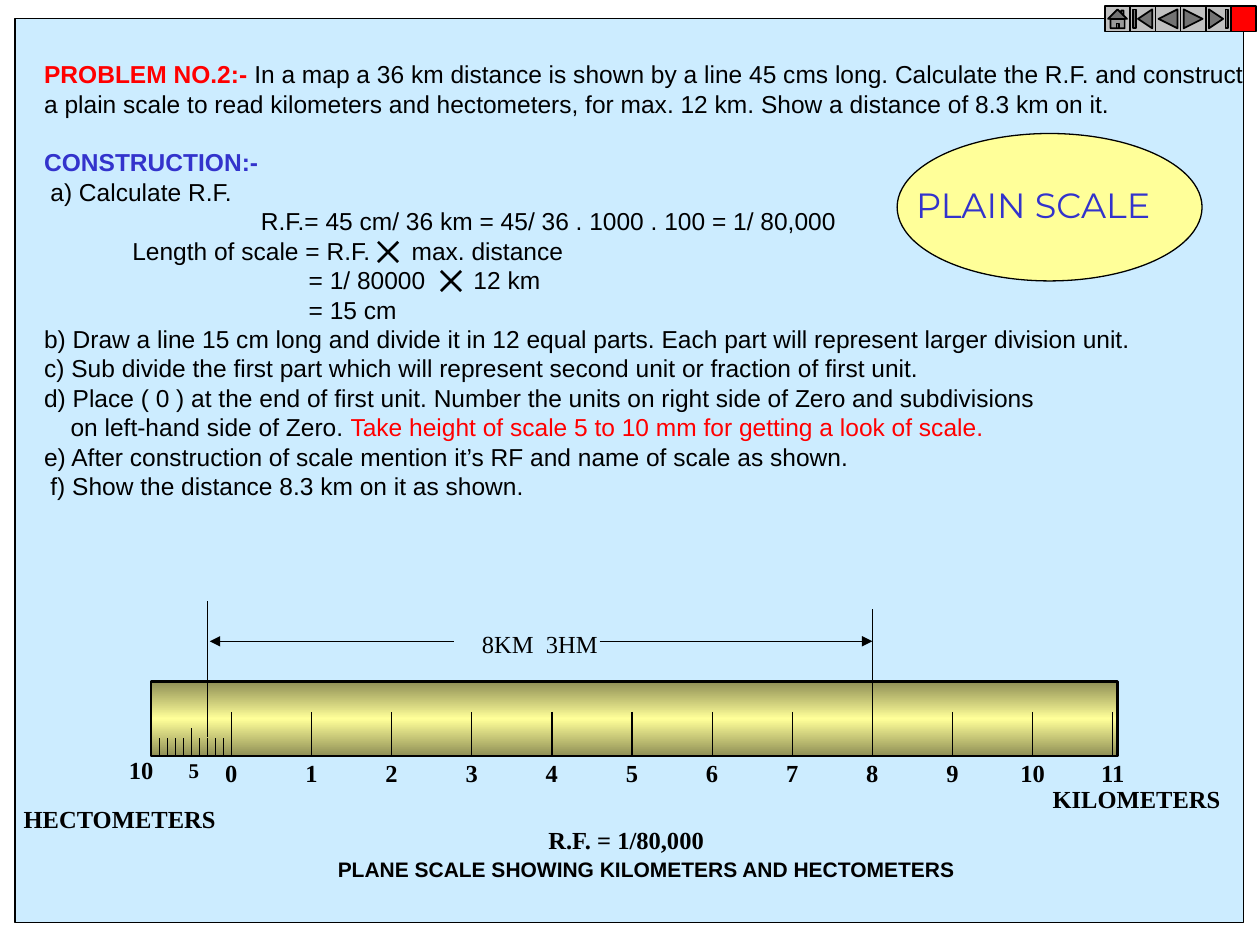
from copy import deepcopy

from pptx import Presentation
from pptx.dml.color import RGBColor
from pptx.enum.shapes import MSO_CONNECTOR, MSO_SHAPE
from pptx.enum.text import MSO_ANCHOR, MSO_AUTO_SIZE, PP_ALIGN
from pptx.oxml.ns import qn
from pptx.util import Inches, Pt

STRAIGHT = MSO_CONNECTOR.STRAIGHT
RECT, OVAL = MSO_SHAPE.RECTANGLE, MSO_SHAPE.OVAL
LEFT, CENTER = PP_ALIGN.LEFT, PP_ALIGN.CENTER
MIDDLE, TOP = MSO_ANCHOR.MIDDLE, MSO_ANCHOR.TOP
NO_FIT = MSO_AUTO_SIZE.NONE
BUTTONS = [
    MSO_SHAPE.ACTION_BUTTON_HOME, MSO_SHAPE.ACTION_BUTTON_BEGINNING,
    MSO_SHAPE.ACTION_BUTTON_BACK_OR_PREVIOUS,
    MSO_SHAPE.ACTION_BUTTON_FORWARD_OR_NEXT,
    MSO_SHAPE.ACTION_BUTTON_END, MSO_SHAPE.ACTION_BUTTON_CUSTOM,
]
BLACK, RED, BLUE, YELLOW = "000000", "FF0000", "3333CC", "FFFF99"
BODY = {"name": "Arial", "size": Pt(14), "bold": False}
LABEL = {"name": "Times New Roman", "size": Pt(14), "bold": True}
SMALL = {**LABEL, "size": Pt(12)}
PLAIN = {**LABEL, "bold": False}
CAPTION = {"name": "Arial", "size": Pt(12), "bold": True}
TITLE = {"name": "Montserrat", "size": Pt(20), "bold": False}

STEPS = [
    (0, [("PROBLEM NO.2:-", RED, True, 0),
         (" In a map a 36 km distance is shown by a line 45 cms long. "
          "Calculate the R.F. and construct", BLACK, False, 0)]),
    (0, "a plain scale to read kilometers and hectometers, for max. 12 km. "
        "Show a distance of 8.3 km on it."),
    (0, [("CONSTRUCTION:-", BLUE, True, 0)]),
    (0.05, "a) Calculate R.F."),
    (1.72, "R.F.= 45 cm/ 36 km = 45/ 36 . 1000 . 100 = 1/ 80,000"),
    (0.7, [("Length of scale = R.F.", BLACK, False, 0),
           (" ", BLACK, False, 19.5),
           ("max. distance", BLACK, False, 0)]),
    (2.1, [("= 1/ 80000", BLACK, False, 0),
           (" ", BLACK, False, 23.5),
           ("12 km", BLACK, False, 0)]),
    (2.1, "= 15 cm"),
    (0, "b) Draw a line 15 cm long and divide it in 12 equal parts. "
        "Each part will represent larger division unit."),
    (0, "c) Sub divide the first part which will represent second unit "
        "or fraction of first unit."),
    (0, "d) Place ( 0 ) at the end of first unit. Number the units on "
        "right side of Zero and subdivisions"),
    (0.21, [("on left-hand side of Zero. ", BLACK, False, 0),
            ("Take height of scale 5 to 10 mm for getting a look of scale.",
             RED, False, 0)]),
    (0, "e) After construction of scale mention it’s RF and name of scale as shown."),
    (0.05, "f) Show the distance 8.3 km on it as shown."),
]


def rgb(value):
    return RGBColor.from_string(value)


def place(sp, box):
    for name, value in zip(("left", "top", "width", "height"), box):
        setattr(sp, name, Inches(value))


def add_run(p, text, fmt, color=BLACK, spacing=0):
    r = p.add_run()
    r.text = text
    for name, value in fmt.items():
        setattr(r.font, name, value)
    r.font.color.rgb = rgb(color)
    if spacing:
        r._r.get_or_add_rPr().set("spc", str(int(spacing * 100)))


def add_shape(s, kind, box, fill, width=0.75):
    sp = s.shapes.add_shape(kind, *map(Inches, box))
    sp.shadow.inherit = False
    sp.fill.solid()
    sp.fill.fore_color.rgb = rgb(fill)
    sp.line.color.rgb = rgb(BLACK)
    sp.line.width = Pt(width)
    return sp


def add_line(s, x1, y1, x2, y2, width=0.75, arrow=False):
    c = s.shapes.add_connector(STRAIGHT, *map(Inches, (x1, y1, x2, y2)))
    c.line.color.rgb = rgb(BLACK)
    c.line.width = Pt(width)
    if arrow:
        ln = c.line._get_or_add_ln()
        ln.append(ln.makeelement(qn("a:tailEnd"), {"type": "triangle"}))
    spPr = c.element.spPr
    spPr.append(spPr.makeelement(qn("a:effectLst"), {}))


def add_text(s, cx, y, text, fmt, w=0.5):
    sp = s.shapes.add_textbox(*map(Inches, (cx - w / 2, y, w, 0.33)))
    sp.text_frame.word_wrap = False
    p = sp.text_frame.paragraphs[0]
    p.alignment = CENTER
    add_run(p, text, fmt)


def use_placeholder(sp, box, anchor):
    tree = sp.element.getparent()
    tree.append(sp.element)
    place(sp, box)
    tf = sp.text_frame
    settings = {"auto_size": NO_FIT, "word_wrap": True, "vertical_anchor": anchor,
                "margin_left": Inches(0.1), "margin_right": 0,
                "margin_top": Inches(0.05), "margin_bottom": Inches(0.05)}
    for name, value in settings.items():
        setattr(tf, name, value)
    return tf


def add_steps(s, box):
    tf = use_placeholder(s.placeholders[1], box, TOP)
    pitch = 16.8
    for i, (indent, content) in enumerate(STEPS):
        p = tf.paragraphs[0] if i == 0 else tf.add_paragraph()
        p.alignment = LEFT
        p.line_spacing = Pt(pitch)
        p.space_before = Pt(pitch if i == 2 else 0)
        pPr = p._p.get_or_add_pPr()
        pPr.set("marL", str(Inches(indent)))
        pPr.set("indent", "0")
        pPr.append(pPr.makeelement(qn("a:buNone"), {}))
        runs = [(content, BLACK, False, 0)] if isinstance(content, str) else content
        for text, color, bold, spacing in runs:
            add_run(p, text, {**BODY, "bold": bold}, color, spacing)
    x, y, _, _ = box
    size = 0.16
    for dx, dy in ((2.75, 1.5), (3.25, 1.73)):
        l, t = x + dx, y + dy
        add_line(s, l, t, l + size, t + size, 1.5)
        add_line(s, l + size, t, l, t + size, 1.5)


def add_badge(s, box):
    x, y, w, h = box
    add_shape(s, OVAL, box, YELLOW)
    tf = use_placeholder(s.shapes.title, (x + 0.05, y + 0.35, w - 0.07, 0.43), MIDDLE)
    p = tf.paragraphs[0]
    p.alignment = LEFT
    add_run(p, "PLAIN SCALE", TITLE, BLUE)


def add_ruler(s, box):
    x, y, w, h = box
    sp = add_shape(s, RECT, box, YELLOW, 1.5)
    sp.fill.gradient()
    stops = sp.element.spPr.find(".//" + qn("a:gsLst"))
    stops.insert(1, deepcopy(stops[0]))
    shades = ((0, "8F8F56"), (0.5, YELLOW), (1, "8F8F56"))
    for stop, (position, color) in zip(sp.fill.gradient_stops, shades):
        stop.position = position
        stop.color.rgb = rgb(color)
    sp.fill.gradient_angle = 90

    base, unit = y + h, 0.636
    zero = x + unit
    add_line(s, x, base, x + w, base)
    for i in range(13):
        add_line(s, x + i * unit, base - 0.35, x + i * unit, base)
    for i in range(1, 11):
        height = 0.22 if i == 5 else 0.14
        add_line(s, x + i * unit / 10, base - height, x + i * unit / 10, base)
    for km in range(12):
        add_text(s, zero + km * unit, base - 0.03, str(km), LABEL)
    add_text(s, x - 0.08, base - 0.06, "10", LABEL)
    add_text(s, x + unit / 2 + 0.02, base - 0.04, "5", SMALL)
    add_text(s, x + w + 0.15, base + 0.17, "KILOMETERS", LABEL, 1.53)
    add_text(s, x - 0.25, base + 0.33, "HECTOMETERS", LABEL, 1.73)

    start, end, level = zero - 0.3 * unit, zero + 8 * unit, y - 0.32
    add_line(s, start, base - 0.15, start, y - 0.64)
    add_line(s, end, base - 0.25, end, y - 0.58)
    add_line(s, 4.76, level, end, level, arrow=True)
    add_line(s, 3.6, level, start + 0.02, level, arrow=True)
    add_text(s, (start + end) / 2, level - 0.15, "8KM  3HM", PLAIN, 1.12)


def add_buttons(s, box):
    x, y, w, h = box
    step = w / len(BUTTONS)
    for i, kind in enumerate(BUTTONS):
        fill = RED if kind == BUTTONS[-1] else "C0C0C0"
        add_shape(s, kind, (x + i * step, y, step, h), fill, 1)


def main():
    prs = Presentation()
    prs.slide_width, prs.slide_height = Inches(10), Inches(7.5)
    s = prs.slides.add_slide(prs.slide_layouts[1])
    add_shape(s, RECT, (0.12, 0.15, 9.75, 7.17), "CCECFF")
    add_steps(s, (0.25, 0.42, 9.75, 3.59))
    add_ruler(s, (1.2, 5.41, 7.67, 0.59))
    add_text(s, 4.97, 6.5, "R.F. = 1/80,000", LABEL, 1.45)
    add_text(s, 5.13, 6.75, "PLANE SCALE SHOWING KILOMETERS AND HECTOMETERS", CAPTION, 5.11)
    add_badge(s, (7.12, 1.06, 2.42, 1.17))
    add_buttons(s, (8.77, 0.05, 1.2, 0.2))
    prs.save("out.pptx")


if __name__ == "__main__":
    main()
